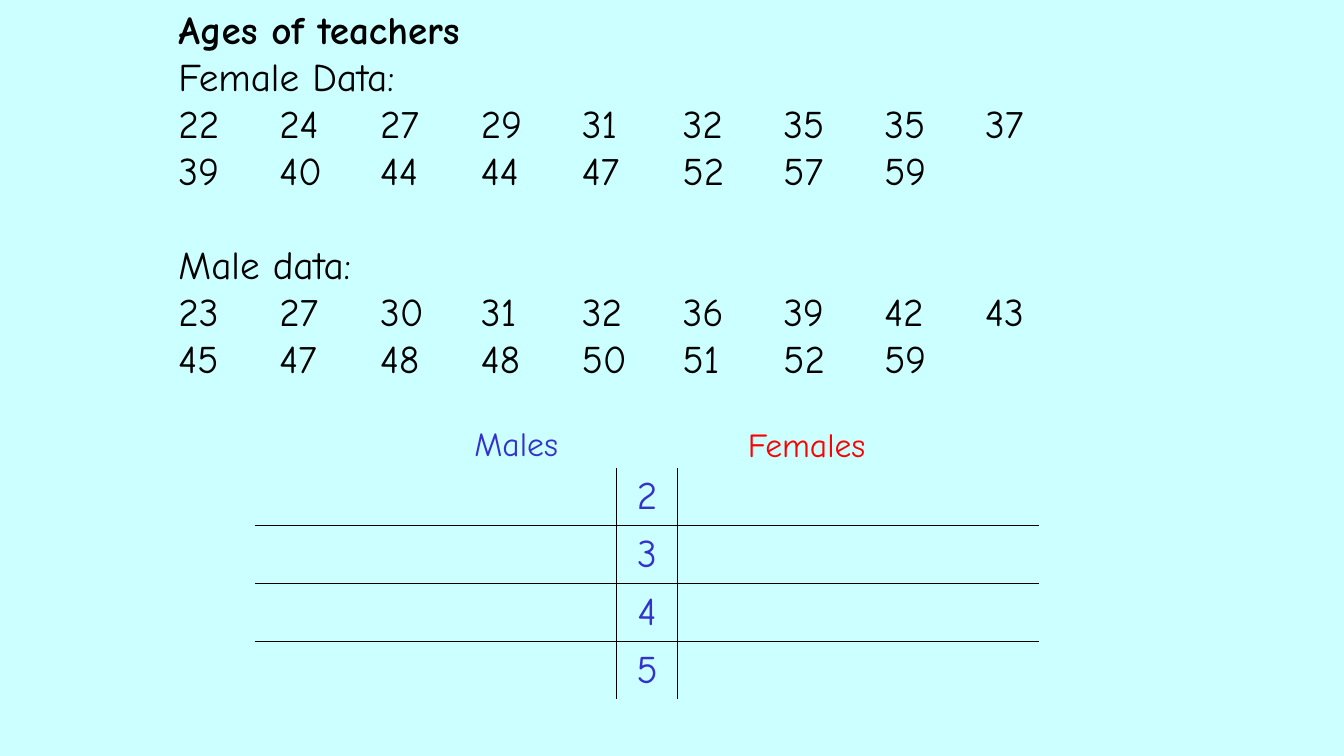
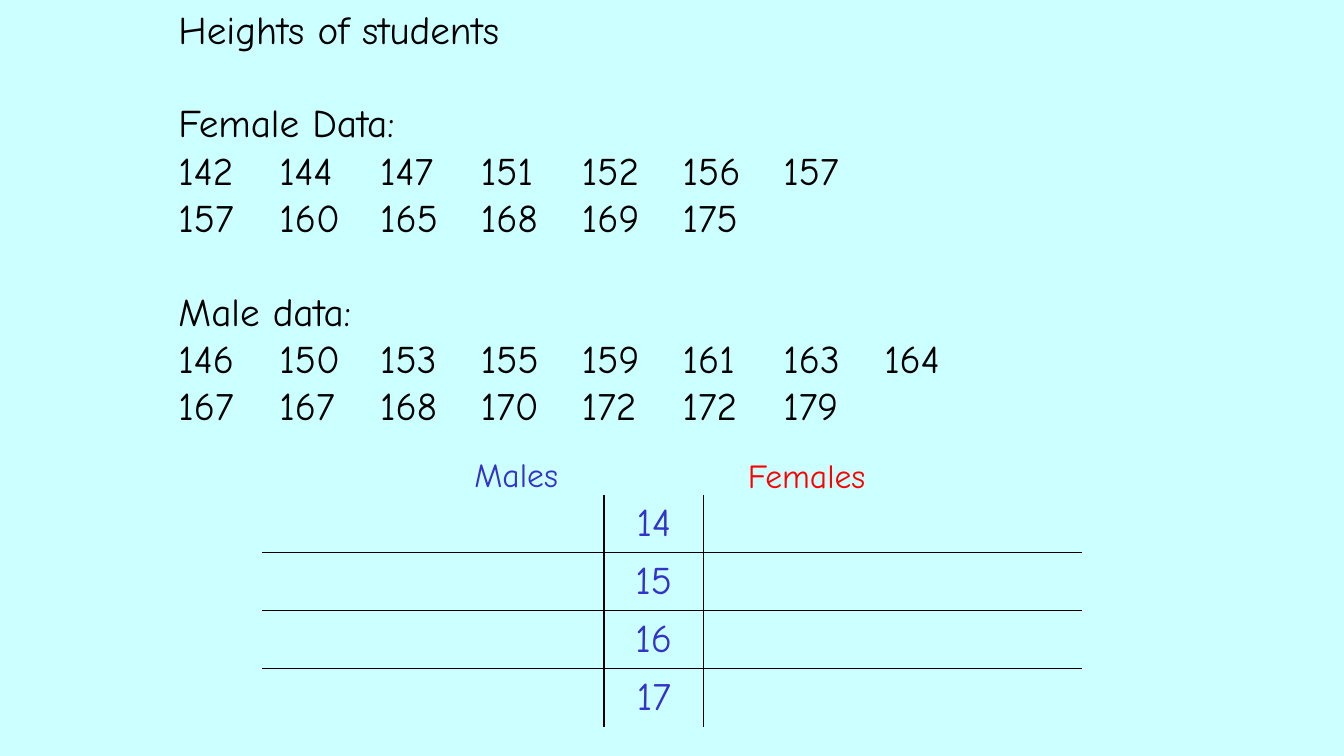
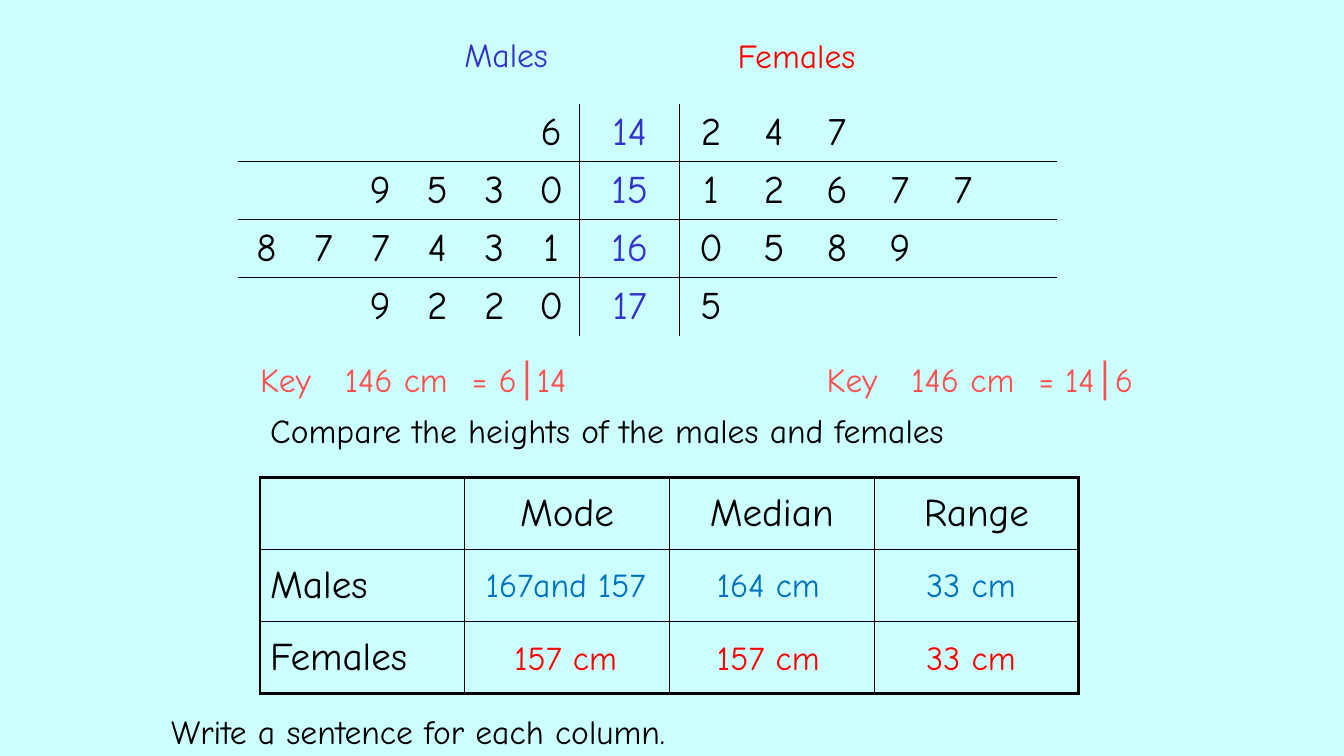
"""Build three slides on back-to-back stem and leaf diagrams."""
from lxml.etree import SubElement as Sub
from pptx import Presentation
from pptx.dml.color import RGBColor as RGB
from pptx.enum.text import MSO_ANCHOR as Anchor, MSO_AUTO_SIZE as Fit, PP_ALIGN as Align
from pptx.oxml.ns import qn
from pptx.util import Inches, Pt

FONT = "Comic Neue"
SKY = RGB(0xCC, 0xFF, 0xFF)
BLACK = RGB(0, 0, 0)
BLUE = RGB(0x33, 0x33, 0xCC)
RED = RGB(0xFF, 0, 0)
CORAL = RGB(0xFF, 0x50, 0x50)
AZURE = RGB(0, 0x70, 0xC0)
LINE = Pt(33.6)
SIDE = 6

DATA = [
    dict(
        title="Ages of teachers", bold=True, top=0.47, high=3.4,
        lines=["Female Data:", "22 24 27 29 31 32 35 35 37", "39 40 44 44 47 52 57 59",
               "Male data:", "23 27 30 31 32 36 39 42 43", "45 47 48 48 50 51 52 59"],
        heads=(4.1, 4.15), at=(2.53, 4.64), wide=(3.59, 0.6, 3.59),
        rows=[("", "2", ""), ("", "3", ""), ("", "4", ""), ("", "5", "")]),
    dict(
        title="Heights of students", bold=False, top=0.93, high=3.88,
        lines=["Female Data:", "142 144 147 151 152 156 157", "157 160 165 168 169 175",
               "Male data:", "146 150 153 155 159 161 163 164", "167 167 168 170 172 172 179"],
        heads=(4.1, 4.45), at=(2.6, 4.91), wide=(3.39, 0.99, 3.75),
        rows=[("", "14", ""), ("", "15", ""), ("", "16", ""), ("", "17", "")]),
]
LEAF = dict(
    heads=(4, 0.29), at=(2.36, 1.03), wide=(3.39, 0.99, 3.75),
    rows=[("6", "14", "247"), ("9530", "15", "12677"),
          ("877431", "16", "0589"), ("9220", "17", "5")])
KEYS = [(2.14, "Key\t146 cm\t= 6│14"), (7.76, "Key\t146 cm\t= 14│6")]
STATS = [["", "Mode", "Median", "Range"],
         ["Males", "", "", ""],
         ["Females", "", "", ""]]
FOUND = [(AZURE, 5.55, ["167and 157", "164 cm", "33 cm"]),
         (RED, 6.27, ["157 cm", "157 cm", "33 cm"])]


def write(frame, *lines, size=24, color=BLACK, bold=False, align=Align.LEFT, tab=None, gap=None):
    """Fill a text frame with plain paragraphs; gap is the line that has an empty line above it."""
    for i, line in enumerate(lines):
        para = frame.paragraphs[0] if i == 0 else frame.add_paragraph()
        if tab:
            props = para._p.get_or_add_pPr()
            props.set("marL", "0")
            props.set("indent", "0")
            props.set("defTabSz", str(Inches(tab)))
            Sub(props, qn("a:buNone"))
        para.alignment = align
        para.space_before = LINE if i == gap else Pt(0)
        run = para.add_run()
        run.text = line
        font = run.font
        font.name, font.size, font.bold = FONT, Pt(size), bold
        font.color.rgb = color


def place(shape, left, top, width, height):
    """Set a text shape's bounds and return its frame."""
    shape.left, shape.top = Inches(left), Inches(top)
    shape.width, shape.height = Inches(width), Inches(height)
    frame = shape.text_frame
    frame.word_wrap = True
    frame.auto_size = Fit.SHAPE_TO_FIT_TEXT
    frame.vertical_anchor = Anchor.TOP
    return frame


def label(slide, text, left, top, width, **style):
    """Add a one-line text box and return its frame."""
    box = slide.shapes.add_textbox(0, 0, 0, 0)
    frame = place(box, left, top, width, 0.5)
    write(frame, text, **style)
    return frame


def edge(cell, **sides):
    """Draw the sides of a cell, in points; zero hides a side."""
    props = cell._tc.get_or_add_tcPr()
    for side in "LRTB":
        line = Sub(props, qn("a:ln" + side), w=str(Pt(sides[side])))
        if sides[side]:
            fill = Sub(line, qn("a:solidFill"))
            Sub(fill, qn("a:srgbClr"), val=str(BLACK))
        else:
            Sub(line, qn("a:noFill"))
    cell.fill.background()
    cell.vertical_anchor = Anchor.MIDDLE


def grid(slide, at, widths, count, height):
    """Add a table without banding."""
    left, top = at
    table = slide.shapes.add_table(count, len(widths), Inches(left), Inches(top),
                                   Inches(sum(widths)), Inches(height)).table
    table.first_row = table.horz_banding = False
    for col, width in zip(table.columns, widths):
        col.width = Inches(width)
    for row in table.rows:
        row.height = Inches(height / count)
    return table


def stem(slide, heads, at, wide, rows):
    """Add a stem and leaf table with its two headings."""
    left, mid, right = wide
    widths = [left / SIDE] * SIDE + [mid] + [right / SIDE] * SIDE
    table = grid(slide, at, widths, len(rows), 2.3)
    for r, (male, root, female) in enumerate(rows):
        texts = [*male.rjust(SIDE), root, *female.ljust(SIDE)]
        for c, text in enumerate(texts):
            cell = table.cell(r, c)
            edge(cell, L=c in (SIDE, SIDE + 1), R=c in (SIDE - 1, SIDE),
                 T=r > 0, B=r < len(rows) - 1)
            if text.strip():
                write(cell.text_frame, text, size=28, align=Align.CENTER,
                      color=BLUE if c == SIDE else BLACK)
    x, y = heads
    label(slide, "Males", x, y, 2.04, color=BLUE, align=Align.CENTER)
    label(slide, "Females", x + 2.88, y + 0.01, 2.04, color=RED, align=Align.CENTER)


def stats(slide):
    """Add the table that compares males and females, with the answers on top."""
    table = grid(slide, (2.58, 4.74), [2.03] * 4, len(STATS), 2.14)
    for r, row in enumerate(STATS):
        for c, text in enumerate(row):
            cell = table.cell(r, c)
            edge(cell, L=1 if c else 2.25, R=1 if c < 3 else 2.25,
                 T=1 if r else 2.25, B=1 if r < 2 else 2.25)
            if text:
                write(cell.text_frame, text, size=28,
                      align=Align.CENTER if c else Align.LEFT)
    for color, top, texts in FOUND:
        for c, text in enumerate(texts):
            label(slide, text, 4.62 + 2.01 * c, top, 1.98, color=color, align=Align.CENTER)


def main():
    deck = Presentation()
    deck.slide_width, deck.slide_height = Inches(13.33), Inches(7.5)
    fill = deck.slide_master.background.fill
    fill.solid()
    fill.fore_color.rgb = SKY

    for item in DATA:
        slide = deck.slides.add_slide(deck.slide_layouts[1])
        title = place(slide.shapes.title, 1.67, 0, 10, 0.57)
        write(title, item["title"], size=28, bold=item["bold"])
        body = place(slide.placeholders[1], 1.67, item["top"], 10, item["high"])
        lines = ["\t".join(line.split()) if line[0].isdigit() else line for line in item["lines"]]
        write(body, *lines, size=28, tab=1, gap=3)
        stem(slide, item["heads"], item["at"], item["wide"], item["rows"])

    slide = deck.slides.add_slide(deck.slide_layouts[5])
    write(place(slide.shapes.title, 2.58, 4.02, 9.08, 0.5),
          "Compare the heights of the males and females")
    stem(slide, **LEAF)
    for left, text in KEYS:
        key = label(slide, text, left, 3.51, 3.9, color=CORAL, tab=0.42)
        key.margin_left = Inches(0.44)
    stats(slide)
    label(slide, "Write a sentence for each column.", 1.6, 7, 10)
    deck.save("out.pptx")


if __name__ == "__main__":
    main()
